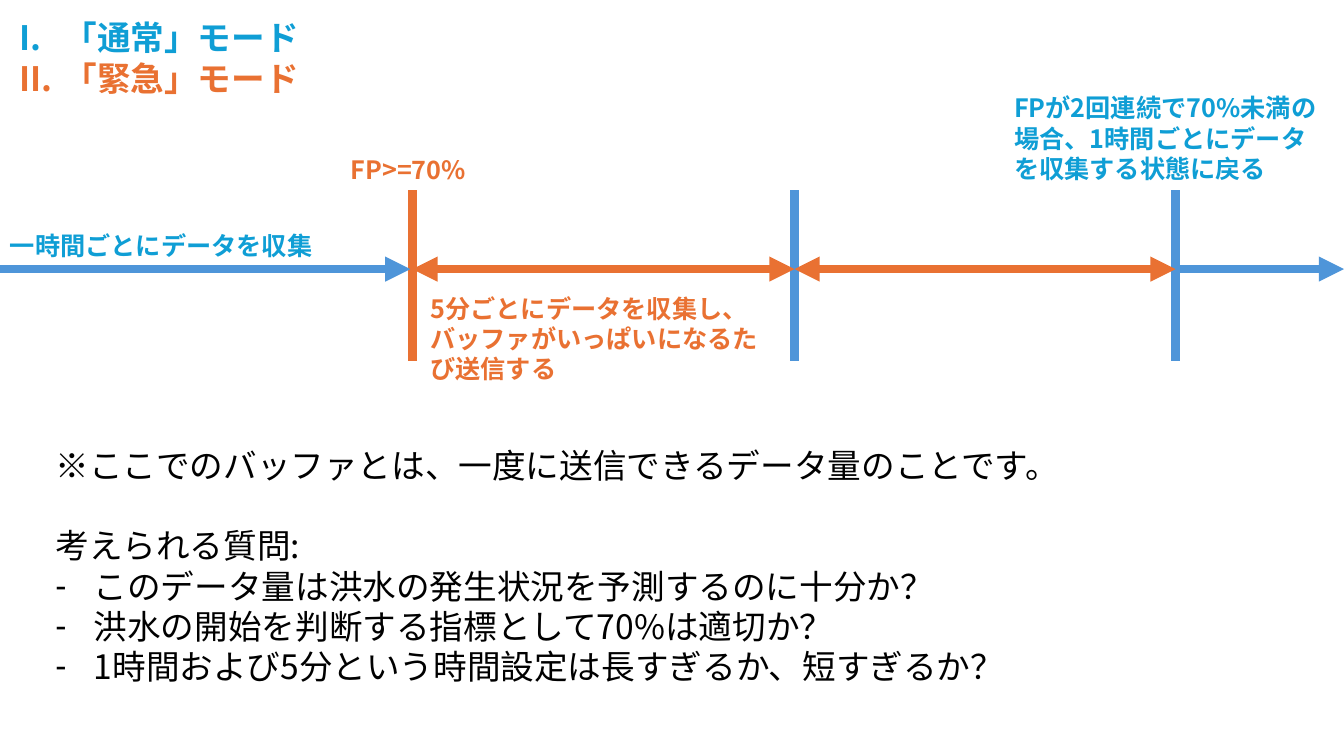
from lxml import etree
from pptx import Presentation
from pptx.dml.color import RGBColor
from pptx.enum.shapes import MSO_CONNECTOR
from pptx.enum.text import MSO_ANCHOR, MSO_AUTO_SIZE, PP_ALIGN
from pptx.oxml.ns import qn
from pptx.util import Inches, Pt

FONT = "Noto Sans CJK JP"
BLACK, ORANGE, BLUE, LINE_BLUE = "000000", "E97132", "0F9ED5", "4E95D9"
START, FULL, RETURN, END = 4.09, 7.88, 11.66, 13.33
AXIS = 2.67


def color(value):
    return RGBColor.from_string(value)


def add_line(slide, start, end, line_color, head=False, tail=False):
    line = slide.shapes.add_connector(
        MSO_CONNECTOR.STRAIGHT, *(Inches(n) for n in (*start, *end)))
    line.line.color.rgb = color(line_color)
    line.line.width = Pt(6)
    outline = line.line._get_or_add_ln()
    for tag, wanted in (("a:headEnd", head), ("a:tailEnd", tail)):
        if wanted:
            etree.SubElement(outline, qn(tag), type="triangle")
    etree.SubElement(line._element.spPr, qn("a:effectLst"))


def place(shape, left, top, width, height):
    """Move a text shape and give its frame a fixed, wrapping layout."""
    shape.left, shape.top = Inches(left), Inches(top)
    shape.width, shape.height = Inches(width), Inches(height)
    frame = shape.text_frame
    frame.word_wrap = True
    frame.auto_size = MSO_AUTO_SIZE.NONE
    frame.vertical_anchor = MSO_ANCHOR.TOP
    frame.margin_left = frame.margin_right = Inches(0.1)
    frame.margin_top = frame.margin_bottom = Inches(0.05)
    return frame


def set_marker(paragraph, tag, indent=0, **attributes):
    properties = paragraph._p.get_or_add_pPr()
    properties.set("marL", str(Inches(indent)))
    properties.set("indent", str(-Inches(indent)))
    etree.SubElement(properties, qn(tag), **attributes)


def style(paragraph, size, text_color, bold=False):
    paragraph.alignment = PP_ALIGN.LEFT
    font = paragraph.font
    font.name, font.size, font.bold = FONT, Pt(size), bold
    font.color.rgb = color(text_color)
    east_asian = etree.Element(qn("a:ea"), typeface=FONT)
    font._element.find(qn("a:latin")).addnext(east_asian)


def write_lines(frame, lines):
    """Fill the frame with one paragraph per line and return them."""
    frame.text = "\n".join(lines)
    for paragraph in frame.paragraphs:
        paragraph.space_before = Pt(0)
    return frame.paragraphs


def add_label(slide, text, text_color, *box):
    label = slide.shapes.add_textbox(0, 0, 0, 0)
    paragraph, = write_lines(place(label, *box), [text])
    style(paragraph, 18, text_color, bold=True)


def fill_modes(title):
    modes = write_lines(place(title, 0.09, 0.12, 4.17, 0.91),
                        ["「通常」モード", "「緊急」モード"])
    for mode, mode_color in zip(modes, (BLUE, ORANGE)):
        set_marker(mode, "a:buFont", 0.44, typeface="+mj-lt")
        set_marker(mode, "a:buAutoNum", 0.44, type="romanUcPeriod")
        style(mode, 24, mode_color, bold=True)


def fill_questions(body):
    note, heading, *questions = write_lines(
        place(body, 0.45, 4.36, 10.77, 2.52),
        ["※ここでのバッファとは、一度に送信できるデータ量のことです。",
         "考えられる質問:",
         "このデータ量は洪水の発生状況を予測するのに十分か？",
         "洪水の開始を判断する指標として70%は適切か？",
         "1時間および5分という時間設定は長すぎるか、短すぎるか？"])
    heading.space_before = Pt(28.8)
    for plain in (note, heading):
        set_marker(plain, "a:buNone")
    for question in questions:
        set_marker(question, "a:buFontTx", 0.38)
        set_marker(question, "a:buChar", 0.38, char="-")
    for paragraph in (note, heading, *questions):
        style(paragraph, 24, BLACK)


def main():
    presentation = Presentation()
    presentation.slide_width = Inches(13.33)
    presentation.slide_height = Inches(7.5)
    slide = presentation.slides.add_slide(presentation.slide_layouts[1])

    for moment, line_color in ((START, ORANGE), (FULL, LINE_BLUE), (RETURN, LINE_BLUE)):
        add_line(slide, (moment, 1.89), (moment, 3.58), line_color)
    for begin, end in ((START, FULL), (FULL, RETURN)):
        add_line(slide, (begin, AXIS), (end, AXIS), ORANGE, head=True, tail=True)
    for begin, end in ((0, START - 0.02), (RETURN, END)):
        add_line(slide, (begin, AXIS), (end, AXIS), LINE_BLUE, tail=True)

    add_label(slide, "FP>=70%", ORANGE, 3.38, 1.48, 1.99, 0.4)
    add_label(slide, "一時間ごとにデータを収集", BLUE, 0, 2.24, 4.17, 0.4)
    add_label(slide, "5分ごとにデータを収集し、バッファがいっぱいになるたび送信する",
              ORANGE, 4.17, 2.86, 3.63, 1.01)
    add_label(slide, "FPが2回連続で70%未満の場合、1時間ごとにデータを収集する状態に戻る",
              BLUE, 9.96, 0.87, 3.28, 1.01)

    fill_modes(slide.shapes.title)
    fill_questions(slide.placeholders[1])
    presentation.save("out.pptx")


if __name__ == "__main__":
    main()
